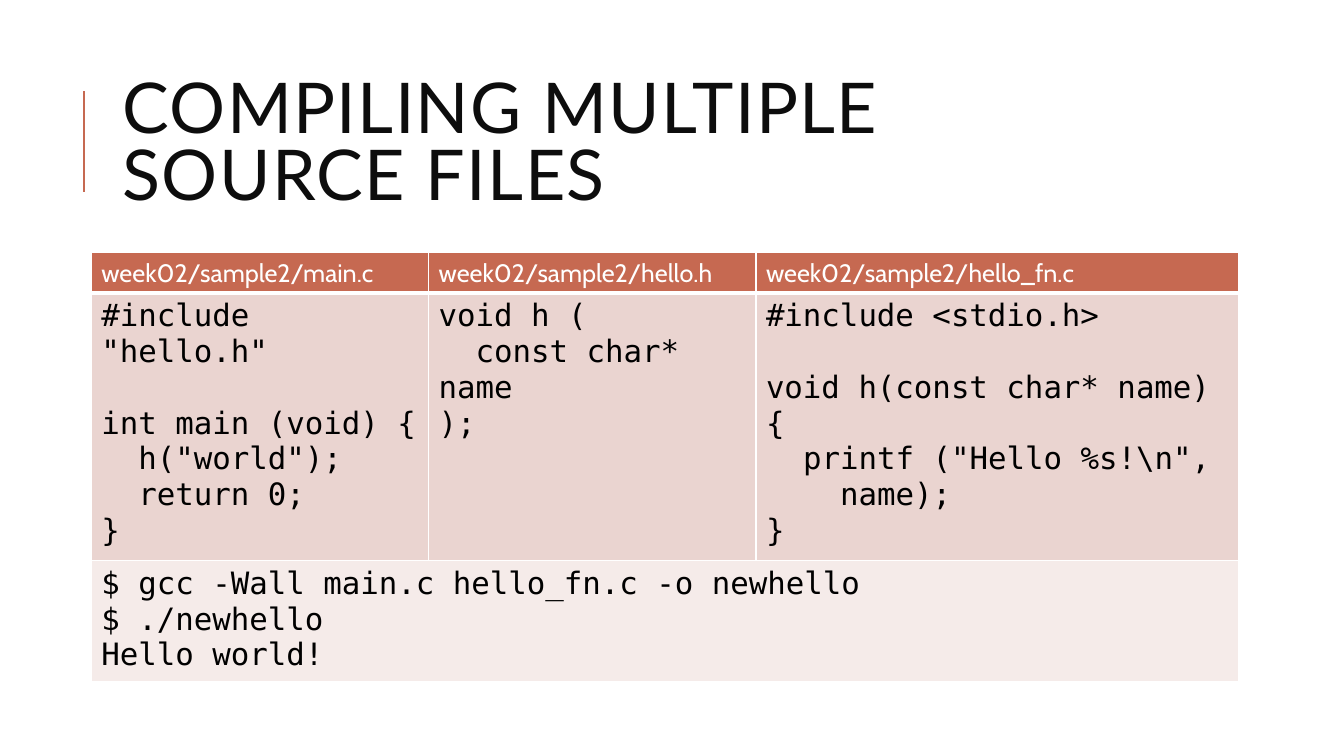
from dataclasses import dataclass

from lxml import etree
from pptx import Presentation
from pptx import util as u
from pptx.dml.color import RGBColor
from pptx.enum import shapes, text
from pptx.oxml.ns import qn


@dataclass(frozen=True)
class Theme:
    accent: str = "C66951"
    code_fill: str = "EAD4D0"
    shell_fill: str = "F5EBE9"
    white: str = "FFFFFF"
    ink: str = "000000"
    title_ink: str = "0D0D0D"
    title_size: int = 50
    head_size: int = 18
    code_size: int = 22
    title_font: str = "Lato"
    head_font: str = "Cabin"
    code_font: str = "DejaVu Sans Mono"


THEME = Theme()
CODE_CHAR = THEME.code_size * 0.602  # advance of one monospaced letter
CODE_LINE = THEME.code_size * 1.164  # height of one line

TITLE = "COMPILING MULTIPLE SOURCE FILES"
FILES = {
    "week02/sample2/main.c": """#include "hello.h"

int main (void) {
  h("world");
  return 0;
}""",
    "week02/sample2/hello.h": """void h (
  const char* name
);""",
    "week02/sample2/hello_fn.c": r"""#include <stdio.h>

void h(const char* name) {
  printf ("Hello %s!\n",
    name);
}""",
}
SHELL = """$ gcc -Wall main.c hello_fn.c -o newhello
$ ./newhello
Hello world!"""


def add_run(p, words, font, size, color):
    r = p.add_run()
    r.text = words
    for name, value in {"name": font, "size": u.Pt(size)}.items():
        setattr(r.font, name, value)
    r.font.color.rgb = RGBColor.from_string(color)
    return r


def write_code(tf, code):
    """Turn leading spaces into first-line indents and empty lines into space before."""
    gap, started = 0, False
    for line in code.split("\n"):
        if not line:
            gap += CODE_LINE
            continue
        p = tf.add_paragraph() if started else tf.paragraphs[0]
        words = line.lstrip()
        depth = len(line) - len(words)
        p.space_before = u.Pt(gap)
        if depth:
            p._p.get_or_add_pPr().set("indent", str(u.Pt(depth * CODE_CHAR)))
        add_run(p, words, THEME.code_font, THEME.code_size, THEME.ink)
        gap, started = 0, True


def style_cell(cell, fill, bottom=1, top=1):
    """Set white borders, then the fill."""
    tcPr = cell._tc.get_or_add_tcPr()
    for side, width in {"L": 1, "R": 1, "T": top, "B": bottom}.items():
        ln = etree.SubElement(tcPr, qn(f"a:ln{side}"), w=str(u.Pt(width)))
        solid = etree.SubElement(ln, qn("a:solidFill"))
        etree.SubElement(solid, qn("a:srgbClr"), val=THEME.white)
    cell.fill.solid()
    cell.fill.fore_color.rgb = RGBColor.from_string(fill)


def add_title(slide, x, y, w, h):
    """Place the title, with the accent rule to its left."""
    rule_x, rule_y = x - u.Cm(0.73), y + u.Cm(0.67)
    rule = slide.shapes.add_connector(
        shapes.MSO_CONNECTOR.STRAIGHT, rule_x, rule_y + u.Cm(2.54), rule_x, rule_y)
    rule.line.color.rgb = RGBColor.from_string(THEME.accent)
    rule.line.width = u.Pt(1.5)
    etree.SubElement(rule._element.spPr, qn("a:effectLst"))

    tf = slide.shapes.add_textbox(x, y, w, h).text_frame
    for name, value in {"word_wrap": True,
                        "vertical_anchor": text.MSO_ANCHOR.MIDDLE}.items():
        setattr(tf, name, value)
    p = tf.paragraphs[0]
    p.line_spacing = 0.8
    r = add_run(p, TITLE, THEME.title_font, THEME.title_size, THEME.title_ink)
    r._r.get_or_add_rPr().set("spc", "100")


def add_listing(slide, x, y, widths, heights):
    """Place one column per file, with the shell session across the foot."""
    table = slide.shapes.add_table(
        len(heights), len(widths), x, y, sum(widths), sum(heights)).table
    for column, width in zip(table.columns, widths):
        column.width = width
    for row, height in zip(table.rows, heights):
        row.height = height

    for i, (name, code) in enumerate(FILES.items()):
        head, body, foot = (table.cell(row, i) for row in range(3))
        style_cell(head, THEME.accent, bottom=3)
        style_cell(body, THEME.code_fill, top=3)
        style_cell(foot, THEME.shell_fill)
        add_run(head.text_frame.paragraphs[0], name,
                THEME.head_font, THEME.head_size, THEME.white)
        write_code(body.text_frame, code)
    shell = table.cell(2, 0)
    shell.merge(table.cell(2, len(widths) - 1))
    write_code(shell.text_frame, SHELL)


def main():
    prs = Presentation()
    prs.slide_width, prs.slide_height = u.Cm(33.87), u.Cm(19.05)
    slide = prs.slides.add_slide(prs.slide_layouts[6])
    add_title(slide, u.Cm(2.84), u.Cm(1.62), u.Cm(27), u.Cm(4.17))
    add_listing(slide, u.Cm(2.3), u.Cm(6.37),
                [u.Cm(w) for w in (8.5, 8.25, 12.16)],
                [u.Cm(h) for h in (1, 6.57, 2.95)])
    prs.save("out.pptx")


if __name__ == "__main__":
    main()
